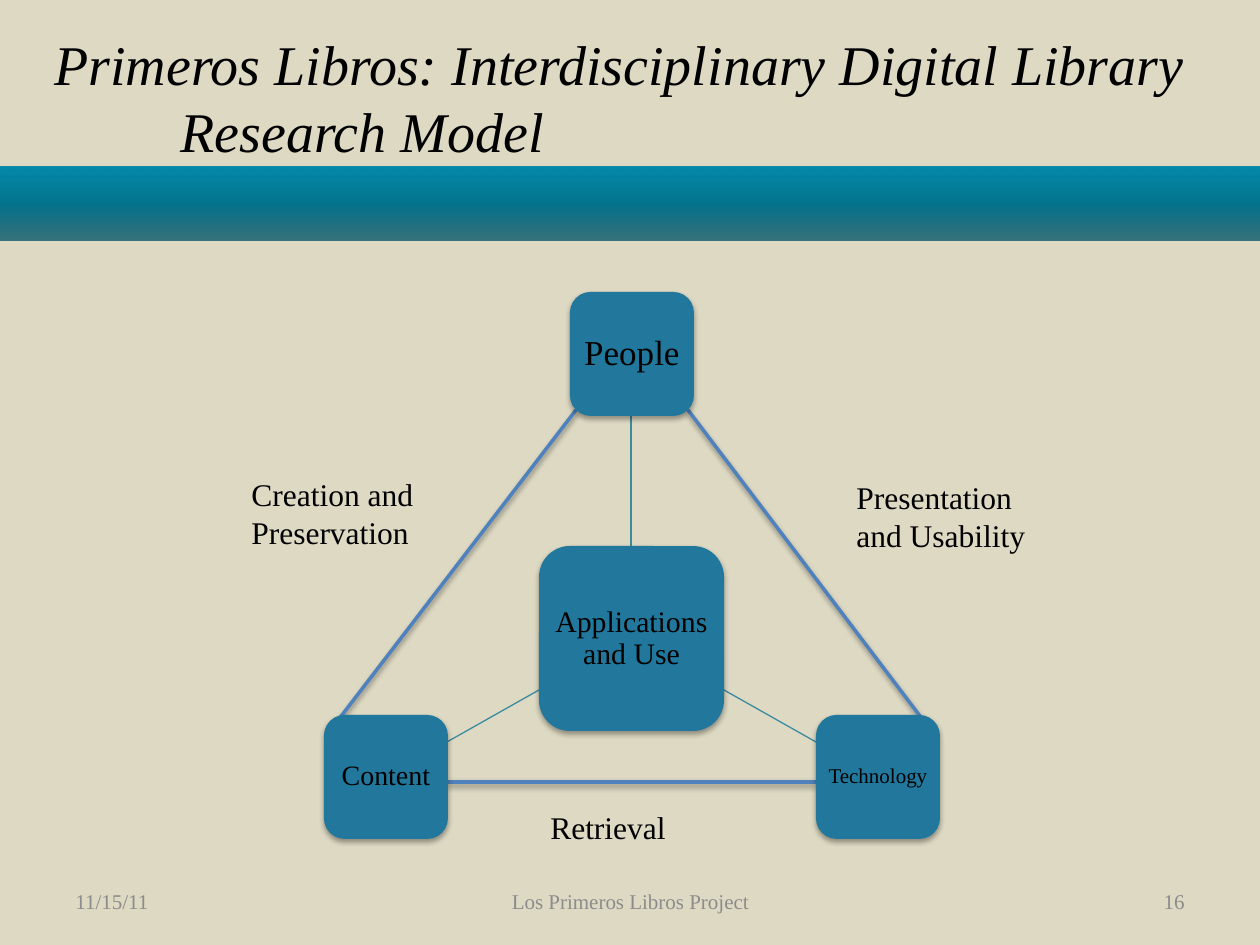
from lxml import etree
from pptx import Presentation
from pptx.dml.color import RGBColor
from pptx.enum.shapes import MSO_CONNECTOR, MSO_SHAPE
from pptx.enum.text import MSO_ANCHOR, PP_ALIGN
from pptx.oxml.ns import nsdecls, qn
from pptx.util import Emu, Pt

LEFT, CENTER, RIGHT = PP_ALIGN.LEFT, PP_ALIGN.CENTER, PP_ALIGN.RIGHT
TOP, MIDDLE = MSO_ANCHOR.TOP, MSO_ANCHOR.MIDDLE
RECTANGLE, ROUNDED = MSO_SHAPE.RECTANGLE, MSO_SHAPE.ROUNDED_RECTANGLE
STRAIGHT = MSO_CONNECTOR.STRAIGHT

# Content; boxes are left, top, width, height in px
FONT = "Times New Roman"
BACKGROUND, NODE_FILL, EDGE, SPOKE = "DDD9C3", "21789C", "4F81BD", "3C8A9F"
TITLE = "Primeros Libros: Interdisciplinary Digital Library Research Model"
TITLE_BOX = (42, 18, 1174, 157)
TITLE_INDENT = 126
NODES = [  # text, left, top, side, text size
    ("Applications and Use", 539, 546, 185, 17),
    ("People", 570, 292, 124, 20),
    ("Technology", 816, 715, 124, 12),
    ("Content", 324, 715, 124, 16),
]
EDGES = [(447, 782, 816, 782), (688, 410, 923, 720), (339, 719, 576, 410)]
SPOKES = [(631, 546, 631, 416), (724, 690, 816, 742), (539, 690, 447, 742)]
EDGE_LABELS = [
    (["Creation and", "Preservation"], (239, 469, 197, 89)),
    (["Presentation", "and Usability"], (844, 472, 219, 89)),
    (["Retrieval"], (538, 802, 176, 51)),
]
FOOTERS = [
    ("11/15/11", (63, 876, 294, 50), LEFT),
    ("Los Primeros Libros Project", (431, 876, 399, 50), CENTER),
    ("16", (903, 876, 294, 50), RIGHT),
]
BAND_BOX = (0, 167, 1260, 74)
BAND_STOPS = [(0, "035264", 75), (50, "04748E", 100), (100, "048AA9", 100)]


def px(value):
    return Emu(round(value * 914400 / 126))


def color(hex_value):
    return RGBColor.from_string(hex_value)


def set_shadow(shape, opacity=0):
    """Give the shape a soft downward shadow, or none at zero opacity."""
    properties = shape._element.spPr
    for old in properties.findall(qn("a:effectLst")):
        properties.remove(old)
    shadow = (
        '<a:outerShdw blurRad="40000" dist="21000" dir="5400000" rotWithShape="0">'
        f'<a:srgbClr val="000000"><a:alpha val="{opacity * 1000}"/></a:srgbClr>'
        "</a:outerShdw>"
    ) if opacity else ""
    properties.append(etree.fromstring(
        f"<a:effectLst {nsdecls('a')}>{shadow}</a:effectLst>"))


def write(shape, lines, size=18, hex_value="000000", align=LEFT, anchor=TOP,
          italic=False, spacing=None, inset=None):
    frame = shape.text_frame
    frame.word_wrap = True
    frame.vertical_anchor = anchor
    if inset is not None:
        frame.margin_left = frame.margin_right = px(inset)
        frame.margin_top = frame.margin_bottom = px(inset)
    for index, line in enumerate(lines):
        paragraph = frame.add_paragraph() if index else frame.paragraphs[0]
        paragraph.alignment = align
        paragraph.line_spacing = spacing
        run = paragraph.add_run()
        run.text = line
        run.font.name, run.font.size = FONT, Pt(size)
        run.font.italic = italic
        run.font.color.rgb = color(hex_value)
    return frame


def add_text(slide, lines, box, **style):
    return write(slide.shapes.add_textbox(*map(px, box)), lines, **style)


def add_line(slide, ends, hex_value, width, shadow=0):
    connector = slide.shapes.add_connector(STRAIGHT, *map(px, ends))
    connector.line.color.rgb = color(hex_value)
    connector.line.width = Pt(width)
    set_shadow(connector, shadow)


def add_node(slide, text, left, top, side, size):
    node = slide.shapes.add_shape(ROUNDED, *map(px, (left, top, side, side)))
    node.fill.solid()
    node.fill.fore_color.rgb = color(NODE_FILL)
    node.line.fill.background()
    set_shadow(node, 35)
    write(node, [text], size=size, align=CENTER, anchor=MIDDLE,
          spacing=0.9, inset=4)


def add_band(slide):
    band = slide.shapes.add_shape(RECTANGLE, *map(px, BAND_BOX))
    band.line.fill.background()
    band.shadow.inherit = False
    stops = "".join(
        f'<a:gs pos="{position * 1000}"><a:srgbClr val="{hex_value}">'
        f'<a:alpha val="{opacity * 1000}"/></a:srgbClr></a:gs>'
        for position, hex_value, opacity in BAND_STOPS)
    gradient = etree.fromstring(
        f'<a:gradFill {nsdecls("a")} rotWithShape="1"><a:gsLst>{stops}</a:gsLst>'
        '<a:lin ang="16200000" scaled="0"/></a:gradFill>')
    band._element.spPr.find(qn("a:prstGeom")).addnext(gradient)


def main():
    presentation = Presentation()
    presentation.slide_width, presentation.slide_height = px(1260), px(945)
    slide = presentation.slides.add_slide(presentation.slide_layouts[6])
    slide.background.fill.solid()
    slide.background.fill.fore_color.rgb = color(BACKGROUND)

    # Triangle edges
    for ends in EDGES:
        add_line(slide, ends, EDGE, 2, shadow=38)

    # Title with a hanging indent
    title = add_text(slide, [TITLE], TITLE_BOX, size=32, italic=True, anchor=MIDDLE)
    properties = title.paragraphs[0]._p.get_or_add_pPr()
    properties.set("marL", str(px(TITLE_INDENT)))
    properties.set("indent", str(-px(TITLE_INDENT)))

    # Spokes and nodes
    for ends in SPOKES:
        add_line(slide, ends, SPOKE, 0.75)
    for node in NODES:
        add_node(slide, *node)

    # Footer, band and edge labels
    for text, box, align in FOOTERS:
        add_text(slide, [text], box, size=12, hex_value="8C8C8C",
                 align=align, anchor=MIDDLE)
    add_band(slide)
    for lines, box in EDGE_LABELS:
        add_text(slide, lines, box)

    presentation.save("out.pptx")


if __name__ == "__main__":
    main()
